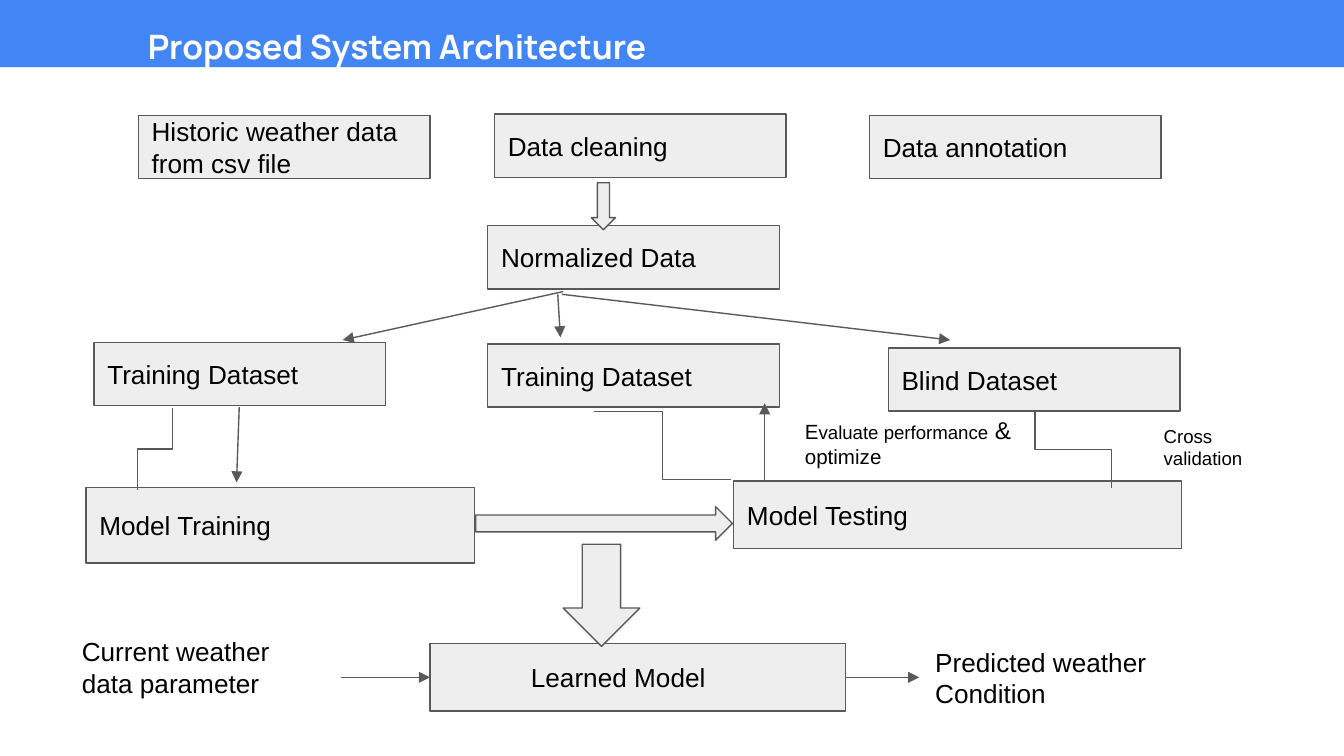
from pptx import Presentation
from pptx.dml.color import RGBColor
from pptx.enum.shapes import MSO_CONNECTOR, MSO_SHAPE
from pptx.enum.text import MSO_ANCHOR, PP_ALIGN
from pptx.oxml.ns import qn
from pptx.util import Inches, Pt
from lxml.etree import SubElement

BLUE = RGBColor(0x42, 0x85, 0xF4)
GRAY = RGBColor(0xEE, 0xEE, 0xEE)
DARK = RGBColor(0x59, 0x59, 0x59)
BLACK = RGBColor(0, 0, 0)
WHITE = RGBColor(0xFF, 0xFF, 0xFF)


def write(sp, runs, anchor, left=0.1, color=BLACK, name="Arial", bold=False):
    tf = sp.text_frame
    frame = {"word_wrap": True, "vertical_anchor": anchor, "margin_left": Inches(left),
             "margin_top": Inches(0.1), "margin_right": Inches(0.1), "margin_bottom": Inches(0.1)}
    for key, value in frame.items():
        setattr(tf, key, value)
    p = tf.paragraphs[0]
    p.alignment = PP_ALIGN.LEFT
    for text, size in runs:
        r = p.add_run()
        r.text = text
        r.font.color.rgb = color
        for key, value in {"size": Pt(size), "name": name, "bold": bold}.items():
            setattr(r.font, key, value)
    return p


def add_line(kind, x1, y1, x2, y2):
    c = s.shapes.add_connector(kind, Inches(x1), Inches(y1), Inches(x2), Inches(y2))
    c.line.color.rgb = DARK
    c.line.width = Pt(0.75)
    SubElement(c._element.spPr, qn("a:effectLst"))
    return c


prs = Presentation()
prs.slide_width = Inches(10)
prs.slide_height = Inches(10) * 9 // 16
s = prs.slides.add_slide(prs.slide_layouts[6])

banner = s.shapes.add_shape(MSO_SHAPE.RECTANGLE, 0, 0, Inches(10), Inches(0.5))
banner.shadow.inherit = False
banner.fill.solid()
banner.fill.fore_color.rgb = BLUE
banner.line.fill.background()
p = write(banner, [("Proposed System Architecture", 18)], MSO_ANCHOR.TOP, 1.1, WHITE, "Manrope", True)
title_format = {"alignment": PP_ALIGN.JUSTIFY, "line_spacing": 1.3,
                "space_before": Pt(18), "space_after": Pt(4)}
for key, value in title_format.items():
    setattr(p, key, value)

BOX, DOWN, RIGHT = MSO_SHAPE.RECTANGLE, MSO_SHAPE.DOWN_ARROW, MSO_SHAPE.RIGHT_ARROW
W, H = 2.17, 0.47
blocks = [
    (BOX, 1.03, 0.86, W, H, "Historic weather data from csv file", 0.1),
    (BOX, 3.68, 0.85, W, H, "Data cleaning", 0.1),
    (BOX, 6.47, 0.86, W, H, "Data annotation", 0.1),
    (BOX, 3.63, 1.68, W, H, "Normalized Data", 0.1),
    (BOX, 0.7, 2.55, W, H, "Training Dataset", 0.1),
    (BOX, 3.63, 2.56, W, H, "Training Dataset", 0.1),
    (BOX, 6.61, 2.59, W, H, "Blind Dataset", 0.1),
    (BOX, 0.64, 3.63, 2.89, 0.56, "Model Training", 0.1),
    (BOX, 5.46, 3.58, 3.33, 0.5, "Model Testing", 0.1),
    (BOX, 3.2, 4.79, 3.09, 0.5, "Learned Model", 0.75),
    (DOWN, 4.4, 1.36, 0.18, 0.35, "", 0.1),
    (RIGHT, 3.54, 3.77, 1.91, 0.25, "", 0.1),
    (DOWN, 4.19, 4.05, 0.57, 0.76, "", 0.1),
]
for kind, x, y, w, h, text, left in blocks:
    sp = s.shapes.add_shape(kind, Inches(x), Inches(y), Inches(w), Inches(h))
    sp.shadow.inherit = False
    sp.fill.solid()
    sp.fill.fore_color.rgb = GRAY
    sp.line.color.rgb = DARK
    sp.line.width = Pt(0.75)
    if text:
        write(sp, [(text, 14)], MSO_ANCHOR.MIDDLE, left)

arrows = [
    (4.19, 2.17, 2.55, 2.53), (4.15, 2.19, 4.17, 2.51), (4.18, 2.19, 7.07, 2.53),
    (1.78, 3.03, 1.76, 3.59), (5.69, 3.58, 5.69, 3),
    (2.54, 5.04, 3.2, 5.04), (6.29, 5.04, 6.84, 5.04),
]
for ends in arrows:
    c = add_line(MSO_CONNECTOR.STRAIGHT, *ends)
    SubElement(c._element.spPr.find(qn("a:ln")), qn("a:tailEnd"), type="triangle")

elbows = [
    (0.85, 3.21, 0.61, 0.26, {"rot": "16200000"}),
    (4.42, 3.06, 1.02, 0.51, {}),
    (7.7, 3.06, 0.57, 0.57, {"rot": "16200000", "flipH": "1"}),
]
for x, y, w, h, turn in elbows:
    c = add_line(MSO_CONNECTOR.ELBOW, x, y, x + w, y + h)
    for key, value in turn.items():
        c._element.spPr.find(qn("a:xfrm")).set(key, value)

labels = [
    (0.51, 4.63, 1.91, 0.67, [("Current weather data parameter", 14)]),
    (6.86, 4.71, 1.91, 0.67, [("Predicted weather Condition", 14)]),
    (8.56, 3.06, 1.11, 0.54, [("Cross validation", 10)]),
    (5.89, 2.99, 2.01, 0.61,
     [("E", 11), ("valuate performance", 10), (" & ", 13), ("optimize", 11)]),
]
for x, y, w, h, runs in labels:
    tb = s.shapes.add_textbox(Inches(x), Inches(y), Inches(w), Inches(h))
    write(tb, runs, MSO_ANCHOR.TOP)

prs.save("out.pptx")
